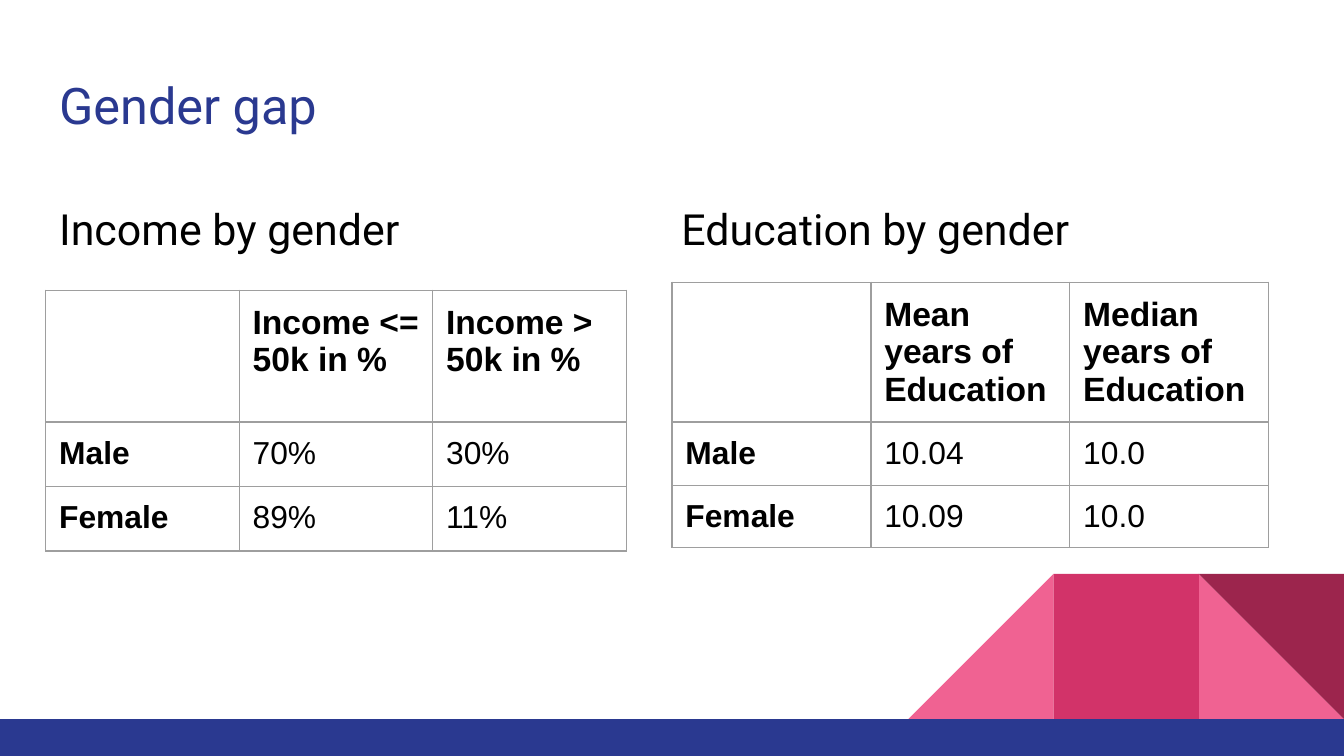
from dataclasses import dataclass

from lxml.etree import SubElement
from pptx import Presentation
from pptx.dml.color import RGBColor
from pptx.enum.shapes import MSO_SHAPE as Preset
from pptx.enum.text import MSO_ANCHOR as Anchor, MSO_AUTO_SIZE as AutoSize, PP_ALIGN as Align
from pptx.oxml.ns import qn
from pptx.util import Inches, Pt

COLORS = {"blue": "2A3990", "pink": "F06292", "rose": "D23369", "wine": "9C254D",
          "grid": "9E9E9E", "text": "000000"}
INSET = Inches(0.1)
WIDTH = 10
HEIGHT = WIDTH * 9 / 16
TILE = 1.08


@dataclass
class Tile:
    preset: Preset
    left: float
    top: float
    width: float
    height: float
    color: str
    rotation: int = 0
    flipped: bool = False


@dataclass
class GenderTable:
    left: float
    top: float
    column_width: float
    row_heights: list[float]
    rows: list[list[str]]


def rgb(name: str) -> RGBColor:
    return RGBColor.from_string(COLORS[name])


def style_font(paragraph, face: str, size: float, color: str, bold: bool = False) -> None:
    font = paragraph.font
    font.name, font.size, font.bold = face, Pt(size), bold
    font.color.rgb = rgb(color)


def draw_tile(slide, tile: Tile) -> None:
    shape = slide.shapes.add_shape(tile.preset, Inches(tile.left), Inches(tile.top),
                                   Inches(tile.width), Inches(tile.height))
    shape.shadow.inherit = False
    shape.fill.solid()
    shape.fill.fore_color.rgb = rgb(tile.color)
    shape.line.fill.background()
    shape.rotation = tile.rotation
    if tile.flipped:
        shape._element.spPr.find(qn("a:xfrm")).set("flipH", "1")


def fill_placeholder(holder, box: tuple[float, float, float, float], text: str,
                     size: float, color: str, spacing: float = 1, indent: float = 0) -> None:
    holder.left, holder.top, holder.width, holder.height = map(Inches, box)
    frame = holder.text_frame
    frame.text = text
    frame.word_wrap, frame.auto_size = True, AutoSize.NONE
    frame.vertical_anchor = Anchor.TOP
    frame.margin_left = frame.margin_right = frame.margin_top = frame.margin_bottom = INSET
    paragraph = frame.paragraphs[0]
    paragraph.alignment = Align.LEFT
    paragraph.line_spacing = spacing
    paragraph.space_before = Pt(0)
    style_font(paragraph, "Roboto", size, color)
    properties = paragraph._p.get_or_add_pPr()
    properties.set("marL", str(Inches(indent)))
    properties.set("indent", "0")
    properties.insert_element_before(properties.makeelement(qn("a:buNone"), {}),
                                     "a:tabLst", "a:defRPr", "a:extLst")


def border_cell(cell) -> None:
    properties = cell._tc.get_or_add_tcPr()
    for position, side in enumerate(("a:lnL", "a:lnR", "a:lnT", "a:lnB")):
        line = properties.makeelement(qn(side), {"w": str(Pt(0.75))})
        fill = SubElement(line, qn("a:solidFill"))
        SubElement(fill, qn("a:srgbClr"), val=COLORS["grid"])
        properties.insert(position, line)


def draw_table(slide, spec: GenderTable) -> None:
    count = len(spec.rows[0])
    table = slide.shapes.add_table(
        len(spec.rows), count, Inches(spec.left), Inches(spec.top),
        Inches(spec.column_width * count), Inches(sum(spec.row_heights))).table
    table.first_row = table.horz_banding = False
    for column in table.columns:
        column.width = Inches(spec.column_width)
    for r, (height, values) in enumerate(zip(spec.row_heights, spec.rows)):
        table.rows[r].height = Inches(height)
        for c, value in enumerate(values):
            cell = table.cell(r, c)
            cell.text = value
            cell.margin_left = cell.margin_right = INSET
            cell.margin_top = cell.margin_bottom = INSET
            cell.fill.background()
            border_cell(cell)
            style_font(cell.text_frame.paragraphs[0], "Arial", 17 if r else 18,
                       "text", bold=r == 0 or c == 0)


deck = Presentation()
deck.slide_width, deck.slide_height = Inches(WIDTH), Inches(HEIGHT)
slide = deck.slides.add_slide(deck.slide_layouts[3])

# Corner decoration and bottom band
band_top = 5.35
tile_top = band_top - TILE
tile_lefts = [WIDTH - TILE * n for n in (3, 2, 1)]
for tile in (
    Tile(Preset.RIGHT_TRIANGLE, tile_lefts[2], tile_top, TILE, TILE, "pink"),
    Tile(Preset.RIGHT_TRIANGLE, tile_lefts[0], tile_top, TILE, TILE, "pink", flipped=True),
    Tile(Preset.RECTANGLE, tile_lefts[1], tile_top, TILE, TILE, "rose"),
    Tile(Preset.RIGHT_TRIANGLE, tile_lefts[2], tile_top, TILE, TILE, "wine", rotation=180),
    Tile(Preset.RECTANGLE, 0, band_top, WIDTH, HEIGHT - band_top, "blue"),
):
    draw_tile(slide, tile)

# Title and column headings
title, income, education = slide.placeholders
fill_placeholder(title, (0.34, 0.45, 9.32, 0.66), "Gender gap", 27, "blue")
fill_placeholder(income, (0.34, 1.35, 4.24, 3.65), "Income by gender", 23, "text", 1.15)
fill_placeholder(education, (4.5, 1.35, 4.93, 3.65), "Education by gender", 23, "text",
                 1.15, indent=0.47)

# Tables
for gender_table in (
    GenderTable(0.34, 2.16, 1.44, [0.98, 0.48, 0.48], [
        ["", "Income <= 50k in %", "Income > 50k in %"],
        ["Male", "70%", "30%"],
        ["Female", "89%", "11%"]]),
    GenderTable(5, 2.1, 1.48, [1.04, 0.47, 0.46], [
        ["", "Mean years of Education", "Median years of Education"],
        ["Male", "10.04", "10.0"],
        ["Female", "10.09", "10.0"]]),
):
    draw_table(slide, gender_table)

deck.save("out.pptx")
